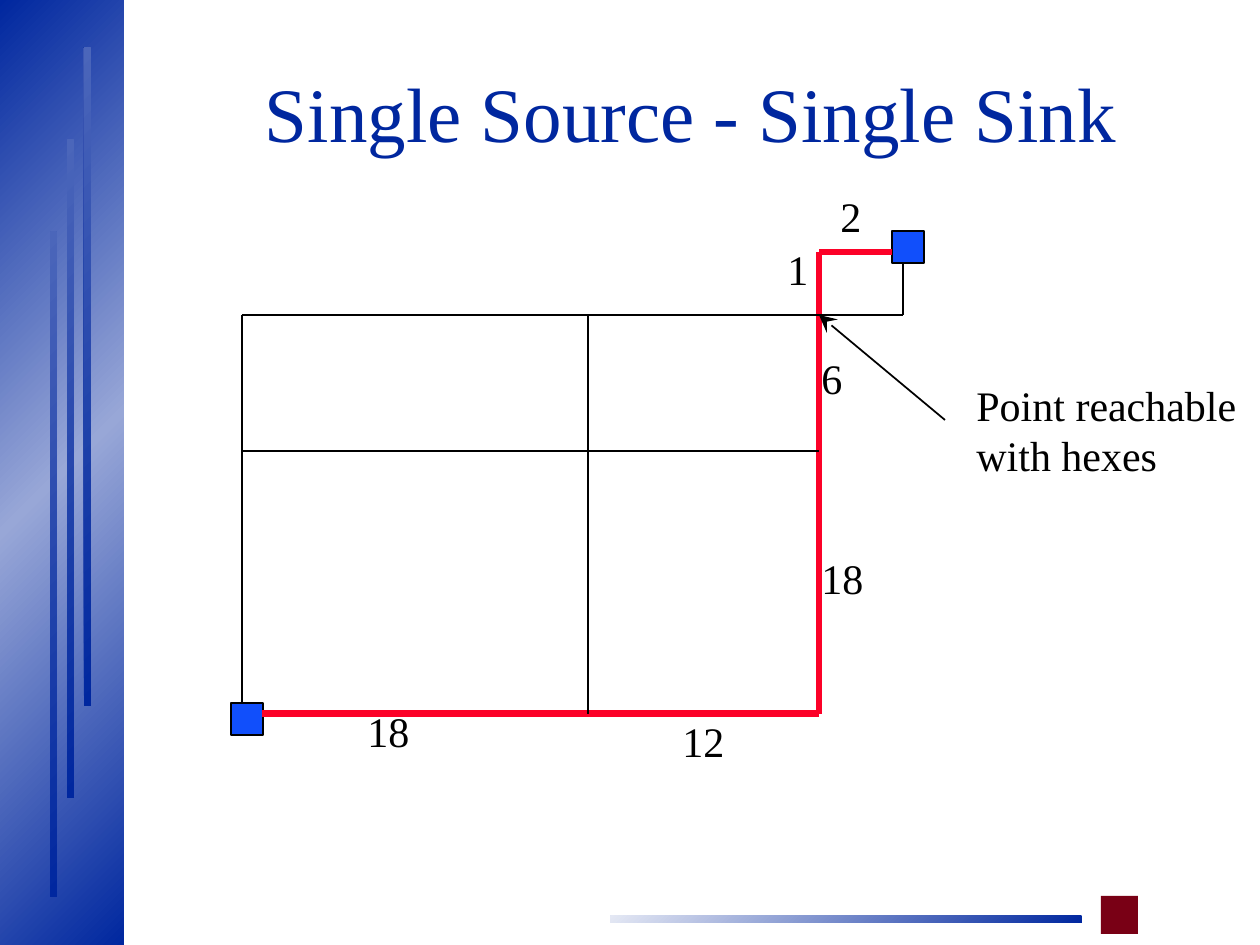
import copy
from dataclasses import dataclass

import pptx
import pptx.dml.color
import pptx.enum.shapes
import pptx.enum.text
import pptx.oxml
import pptx.oxml.ns
import pptx.util


@dataclass(frozen=True)
class Theme:
    """Colours, font and type sizes of the slide."""
    navy: str = "00279F"
    haze: str = "98A7D7"
    steel: str = "4B66BA"
    mist: str = "E4E8F4"
    terminal: str = "114FFB"
    route: str = "FC0128"
    ink: str = "000000"
    emblem: str = "790015"
    font: str = "Times New Roman"
    title_size: int = 44
    label_size: int = 24


THEME = Theme()


def px(length):
    """Turn whole pixels, 126 to the inch, into EMU."""
    return pptx.util.Emu(round(length * 914400 / 126))


def rgb(value):
    """Turn a hex string into a colour."""
    return pptx.dml.color.RGBColor.from_string(value)


def add_box(page, left, top, width, height, color=None, outlined=False):
    """Add a rectangle, with a thin outline if asked for."""
    box = page.shapes.add_shape(
        pptx.enum.shapes.MSO_SHAPE.RECTANGLE,
        px(left), px(top), px(width), px(height))
    box.shadow.inherit = False
    if color:
        box.fill.solid()
        box.fill.fore_color.rgb = rgb(color)
    if outlined:
        box.line.color.rgb = rgb(THEME.ink)
        box.line.width = pptx.util.Pt(1)
    else:
        box.line.fill.background()
    return box


def add_gradient_box(page, left, top, width, height, *colors):
    """Add a rectangle with evenly spaced diagonal gradient stops."""
    box = add_box(page, left, top, width, height)
    box.fill.gradient()
    box.fill.gradient_angle = 135
    stop_list = next(box._element.iter(pptx.oxml.ns.qn("a:gsLst")))
    for _ in colors[2:]:
        stop_list.append(copy.deepcopy(stop_list[0]))
    for index, (stop, color) in enumerate(zip(box.fill.gradient_stops, colors)):
        stop.position = index / (len(colors) - 1)
        stop.color.rgb = rgb(color)


def add_wire(page, start, end, color=THEME.ink, weight=1, arrow=False):
    """Add a straight line, with an arrowhead at its start if asked for."""
    wire = page.shapes.add_connector(
        pptx.enum.shapes.MSO_CONNECTOR.STRAIGHT, *map(px, start + end))
    wire.line.color.rgb = rgb(color)
    wire.line.width = pptx.util.Pt(weight)
    properties = wire._element.spPr
    if arrow:
        head = pptx.oxml.parse_xml(
            f'<a:headEnd {pptx.oxml.ns.nsdecls("a")}'
            ' type="stealth" w="lg" len="lg"/>')
        wire.line._get_or_add_ln().append(head)
    properties.append(pptx.oxml.parse_xml(
        f'<a:effectLst {pptx.oxml.ns.nsdecls("a")}/>'))


def add_text(page, left, top, width, height, lines, size, color):
    """Add a text box with one paragraph for each line."""
    box = page.shapes.add_textbox(px(left), px(top), px(width), px(height))
    frame = box.text_frame
    frame.text = "\n".join(lines)
    for para in frame.paragraphs:
        para.font.name = THEME.font
        para.font.size = pptx.util.Pt(size)
        para.font.color.rgb = rgb(color)
    return frame


def add_label(page, left, top, width, height, *lines):
    """Add an unwrapped label of the diagram."""
    frame = add_text(page, left, top, width, height, lines,
                     THEME.label_size, THEME.ink)
    frame.word_wrap = False
    frame.auto_size = pptx.enum.text.MSO_AUTO_SIZE.SHAPE_TO_FIT_TEXT


def add_title(page, text):
    """Add the centred slide title."""
    frame = add_text(page, 136, 40, 1110, 158, [text],
                     THEME.title_size, THEME.navy)
    frame.word_wrap = True
    frame.vertical_anchor = pptx.enum.text.MSO_ANCHOR.MIDDLE
    frame.paragraphs[0].alignment = pptx.enum.text.PP_ALIGN.CENTER
    frame.paragraphs[0].line_spacing = 0.85


def add_decoration(page):
    """Add the side band, its stripes, the footer rule and the emblem."""
    add_gradient_box(page, 0, 0, 124, 945, THEME.navy, THEME.haze, THEME.navy)
    for step in range(3):
        add_gradient_box(page, 50 + 17 * step, 232 - 92 * step, 7,
                         665 if step == 0 else 658, THEME.navy, THEME.steel)
    add_gradient_box(page, 610, 916, 472, 7, THEME.navy, THEME.mist)
    add_box(page, 1101, 896, 37, 38, THEME.emblem)


def add_routing(page):
    """Add the terminals, the chosen route and the alternative wires."""
    left, middle, right, sink = 242, 588, 819, 903
    top, hexes, row, bottom = 252, 315, 451, 714
    for corner in ((231, 703), (892, 231)):
        add_box(page, *corner, 32, 32, THEME.terminal, outlined=True)
    route = [(262, bottom), (right, bottom), (right, top), (892, top)]
    for start, end in zip(route, route[1:]):
        add_wire(page, start, end, THEME.route, 4)
    wires = [
        ((left, hexes), (sink, hexes)),
        ((sink, hexes), (sink, 262)),
        ((left, 703), (left, hexes)),
        ((middle, hexes), (middle, bottom)),
        ((left, row), (right, row)),
    ]
    for start, end in wires:
        add_wire(page, start, end)
    add_wire(page, (right, hexes), (945, 420), arrow=True)


def add_labels(page):
    """Add the segment lengths and the note on the reachable point."""
    lengths = [("18", 809, 546), ("6", 809, 346), ("18", 355, 699),
               ("12", 670, 709), ("1", 775, 237), ("2", 828, 184)]
    for text, left, top in lengths:
        add_label(page, left, top, 26 + 21 * len(text), 63, text)
    add_label(page, 964, 373, 286, 113, "Point reachable", "with hexes")


def main():
    """Build the slide and save it."""
    deck = pptx.Presentation()
    deck.slide_width, deck.slide_height = px(1260), px(945)
    page = deck.slides.add_slide(deck.slide_layouts[6])
    add_decoration(page)
    add_title(page, "Single Source - Single Sink")
    add_routing(page)
    add_labels(page)
    deck.save("out.pptx")


if __name__ == "__main__":
    main()
